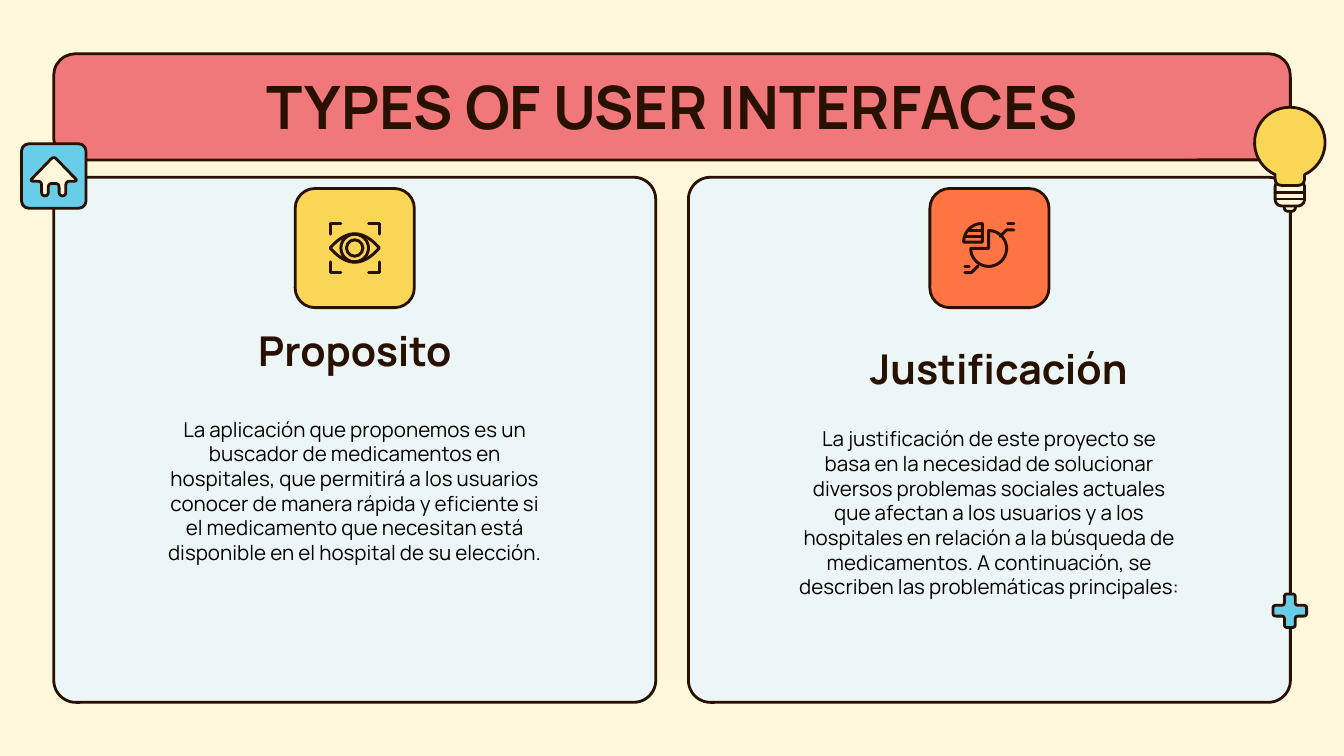
from math import cos, hypot, radians, sin

from lxml import etree
from pptx import Presentation
from pptx import util as u
from pptx.dml.color import RGBColor
from pptx.enum import shapes, text
from pptx.oxml.ns import qn

INK, CREAM, PANEL = "281101", "FFF7DC", "EDF6F7"
PINK, YELLOW, ORANGE, BLUE = "F0787A", "F9D656", "FE7443", "68CDE9"
FONT = "Manrope"
TITLE = "TYPES OF USER INTERFACES"
COLUMNS = [
    dict(heading="Proposito", heading_box=(80.6, 172.8, 219, 29.5),
         body="La aplicación que proponemos es un buscador de medicamentos en hospitales, "
              "que permitirá a los usuarios conocer de manera rápida y eficiente si el "
              "medicamento que necesitan está disponible en el hospital de su elección.",
         body_box=(80.6, 197.3, 219, 131), tile=YELLOW),
    dict(heading="Justificación", heading_box=(425.5, 182.2, 219, 29.5),
         body="La justificación de este proyecto se basa en la necesidad de solucionar "
              "diversos problemas sociales actuales que afectan a los usuarios y a los "
              "hospitales en relación a la búsqueda de medicamentos. A continuación, se "
              "describen las problemáticas principales:",
         body_box=(420.5, 221, 219, 107.3), tile=ORANGE),
]
MARGIN, PANEL_TOP, PANEL_WIDTH, PANEL_HEIGHT, PITCH = 28.8, 95, 322.5, 281.3, 340
TILE_SIZE, TILE_TOP = 63.8, 101
HOUSE_HALF = [(0, -10.6), (13, 2.8), (6.5, 2.8), (6.5, 10.6), (2.9, 10.6), (2.9, 4)]

presentation = Presentation()
presentation.slide_width, presentation.slide_height = u.Pt(720), u.Pt(405)
slide = presentation.slides.add_slide(presentation.slide_layouts[6])


def color(value):
    return RGBColor.from_string(value)


def style(shape, fill=None, weight=1.5):
    shape.shadow.inherit = False
    if fill:
        shape.fill.solid()
        shape.fill.fore_color.rgb = color(fill)
    else:
        shape.fill.background()
    style_line(shape, weight)


def style_line(shape, weight):
    shape.line.color.rgb = color(INK)
    shape.line.width = u.Pt(weight)
    line = shape._element.spPr.find(qn("a:ln"))
    line.set("cap", "rnd")
    etree.SubElement(line, qn("a:round"))


def add_preset(kind, box, fill=None, radius=None, weight=1.5):
    shape = slide.shapes.add_shape(kind, *map(u.Pt, box))
    if radius is not None:
        shape.adjustments[0] = radius / min(box[2:])
    style(shape, fill, weight)


def add_card(box, fill, radius):
    add_preset(shapes.MSO_SHAPE.ROUNDED_RECTANGLE, box, fill, radius)


def add_circle(x, y, radius, weight=1.5):
    box = (x - radius, y - radius, 2 * radius, 2 * radius)
    add_preset(shapes.MSO_SHAPE.OVAL, box, weight=weight)


def add_outline(points, x, y, fill=None, close=True, weight=1.5):
    placed = [(u.Pt(x + dx), u.Pt(y + dy)) for dx, dy in points]
    builder = slide.shapes.build_freeform(*placed[0], scale=1.0)
    builder.add_line_segments(placed[1:], close=close)
    style(builder.convert_to_shape(), fill, weight)


def add_line(x1, y1, x2, y2, weight=1.5):
    line = slide.shapes.add_connector(shapes.MSO_CONNECTOR.STRAIGHT, *map(u.Pt, (x1, y1, x2, y2)))
    style_line(line, weight)
    etree.SubElement(line._element.spPr, qn("a:effectLst"))


def add_text(content, box, size, bold=False, ink=INK, anchor=text.MSO_ANCHOR.MIDDLE, spacing=None):
    frame = slide.shapes.add_textbox(*map(u.Pt, box)).text_frame
    frame.word_wrap = True
    frame.vertical_anchor = anchor
    frame.margin_left = frame.margin_right = frame.margin_top = frame.margin_bottom = u.Pt(7.2)
    paragraph = frame.paragraphs[0]
    paragraph.alignment = text.PP_ALIGN.CENTER
    if spacing:
        paragraph.line_spacing = spacing
    run = paragraph.add_run()
    run.text = content
    run.font.name, run.font.size, run.font.bold = FONT, u.Pt(size), bold
    run.font.color.rgb = color(ink)


def arc(x, y, radius, start, end, steps=40):
    angles = [radians(start + (end - start) * i / steps) for i in range(steps + 1)]
    return [(x + radius * cos(a), y + radius * sin(a)) for a in angles]


def bend(a, b, c, steps=8):
    ts = [i / steps for i in range(steps + 1)]
    return [tuple((1 - t) ** 2 * p + 2 * t * (1 - t) * q + t * t * r for p, q, r in zip(a, b, c))
            for t in ts]


def rounded(corners, radius):
    def toward(a, b):
        share = min(0.5, radius / hypot(b[0] - a[0], b[1] - a[1]))
        return a[0] + (b[0] - a[0]) * share, a[1] + (b[1] - a[1]) * share

    points = []
    for i, corner in enumerate(corners):
        following = corners[(i + 1) % len(corners)]
        points += bend(toward(corner, corners[i - 1]), corner, toward(corner, following))
    return points


def draw_eye(x, y):
    for sx in (-1, 1):
        for sy in (-1, 1):
            bracket = [(13.1 * sx, 7.4 * sy), (13.1 * sx, 13.1 * sy), (7.4 * sx, 13.1 * sy)]
            add_outline(bracket, x, y, close=False, weight=1.6)
    lens = bend((-13.2, 0), (0, -15.2), (13.2, 0), 20) + bend((13.2, 0), (0, 15.2), (-13.2, 0), 20)
    add_outline(lens, x, y, weight=1.6)
    add_circle(x, y, 7.4, 1.6)
    add_circle(x, y, 4.4, 1.6)


def draw_pie(x, y):
    add_outline([(0, 0)] + arc(0, 0, 9.6, -90, 180), x - 0.4, y + 0.2, weight=1.6)
    add_outline([(0, 0)] + arc(0, 0, 10, 180, 270), x - 3.8, y - 3.2, weight=1.6)
    add_line(x - 13, y - 6.4, x - 3.8, y - 6.4, 1.6)
    add_line(x - 11, y - 9.6, x - 3.8, y - 9.6, 1.6)
    for side, near, mid, end, dash in ((1, 5.8, 9.2, 13.1, 9.8), (-1, 6, 9.6, 13.1, 10.8)):
        height = 9.7 if side == 1 else 13.1
        leader = [(near * side, -(height - mid + near) * side), (mid * side, -height * side),
                  (end * side, -height * side)]
        add_outline(leader, x, y, close=False, weight=1.6)
        level = y - 13.1 if side == 1 else y + 9.7
        add_line(x + dash * side, level, x + 13.1 * side, level, 1.6)


def draw_bulb(x, y):
    add_card((x - 3, y + 31, 6, 5.8), CREAM, 2)
    add_card((x - 7.9, y + 20, 15.8, 14), CREAM, 3.5)
    for level in (26.6, 30.2):
        add_line(x - 7.9, y + level, x + 7.9, y + level)
    neck = bend((7.9, 19), (7.9, 23), (4, 23)) + bend((-4, 23), (-7.9, 23), (-7.9, 19))
    add_outline(arc(0, 0, 18.9, 114.7, 425.3) + neck, x, y, YELLOW)


def draw_plus(x, y):
    corners = []
    for dx, dy in ((1, 0), (0, 1), (-1, 0), (0, -1)):
        corners += [(a * dx - b * dy, a * dy + b * dx) for a, b in ((9, -2.9), (9, 2.9), (2.9, 2.9))]
    add_outline(rounded(corners, 1.6), x, y, BLUE)


def draw_home(x, y):
    add_card((x - 17.3, y - 17.3, 34.6, 34.6), BLUE, 4)
    mirrored = [(-dx, dy) for dx, dy in reversed(HOUSE_HALF[1:])]
    add_outline(rounded(HOUSE_HALF + mirrored, 2.2), x, y, CREAM)


slide.background.fill.solid()
slide.background.fill.fore_color.rgb = color(CREAM)
for i in range(len(COLUMNS)):
    add_card((MARGIN + i * PITCH, PANEL_TOP, PANEL_WIDTH, PANEL_HEIGHT), PANEL, 11.8)
add_card((MARGIN, MARGIN, PITCH + PANEL_WIDTH, 56.9), PINK, 11.6)
add_text(TITLE, (56.9, 30.2, 607, 46.8), 32, bold=True, anchor=text.MSO_ANCHOR.TOP)
for i, (column, draw_icon) in enumerate(zip(COLUMNS, (draw_eye, draw_pie))):
    add_text(column["heading"], column["heading_box"], 22, bold=True)
    add_text(column["body"], column["body_box"], 11, ink="000000")
    center = MARGIN + i * PITCH + PANEL_WIDTH / 2
    add_card((center - TILE_SIZE / 2, TILE_TOP, TILE_SIZE, TILE_SIZE), column["tile"], 10.6)
    draw_icon(center, TILE_TOP + TILE_SIZE / 2)
draw_bulb(691, 76.4)
draw_plus(691, 327.2)
draw_home(28.8, 94.3)

presentation.save("out.pptx")
